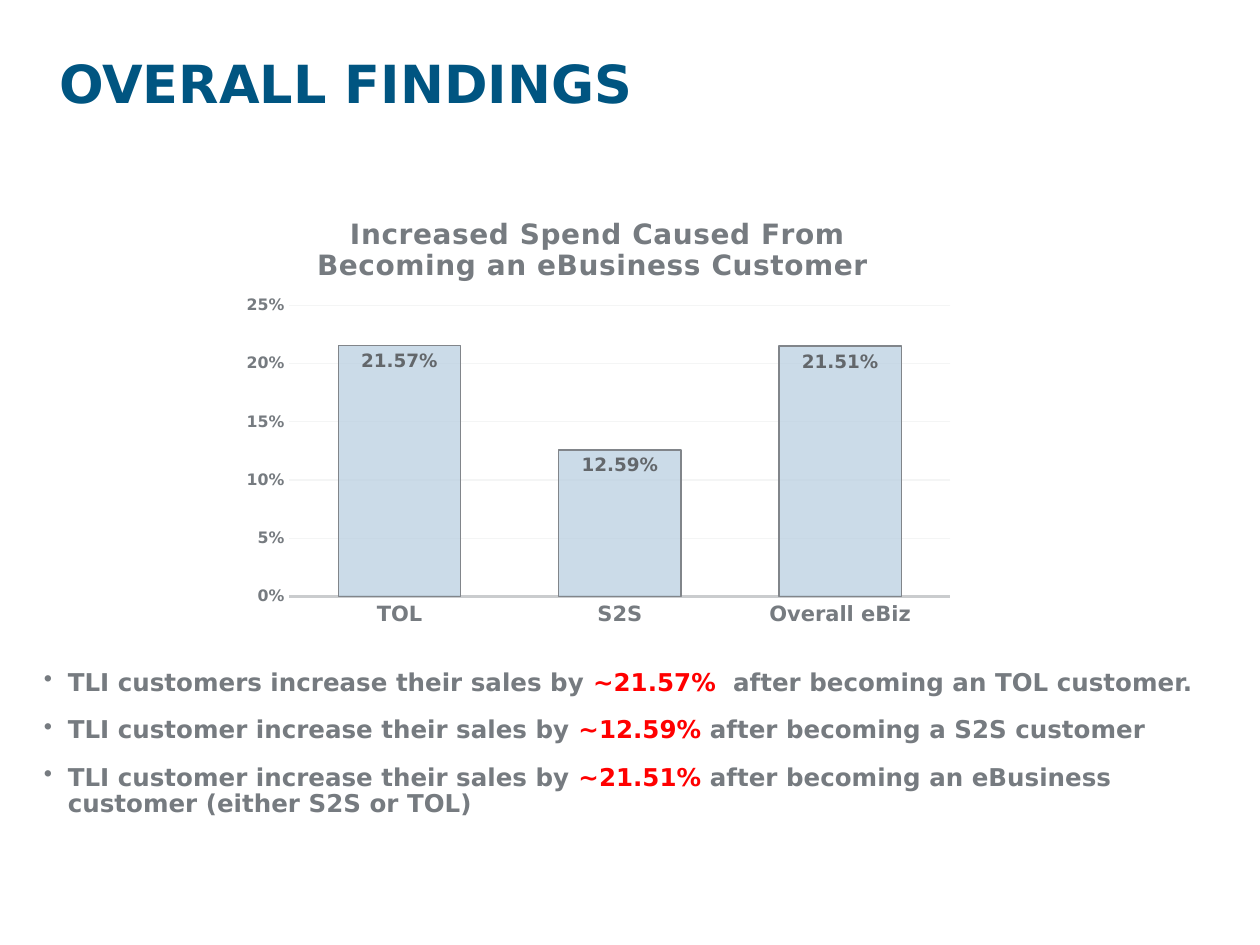
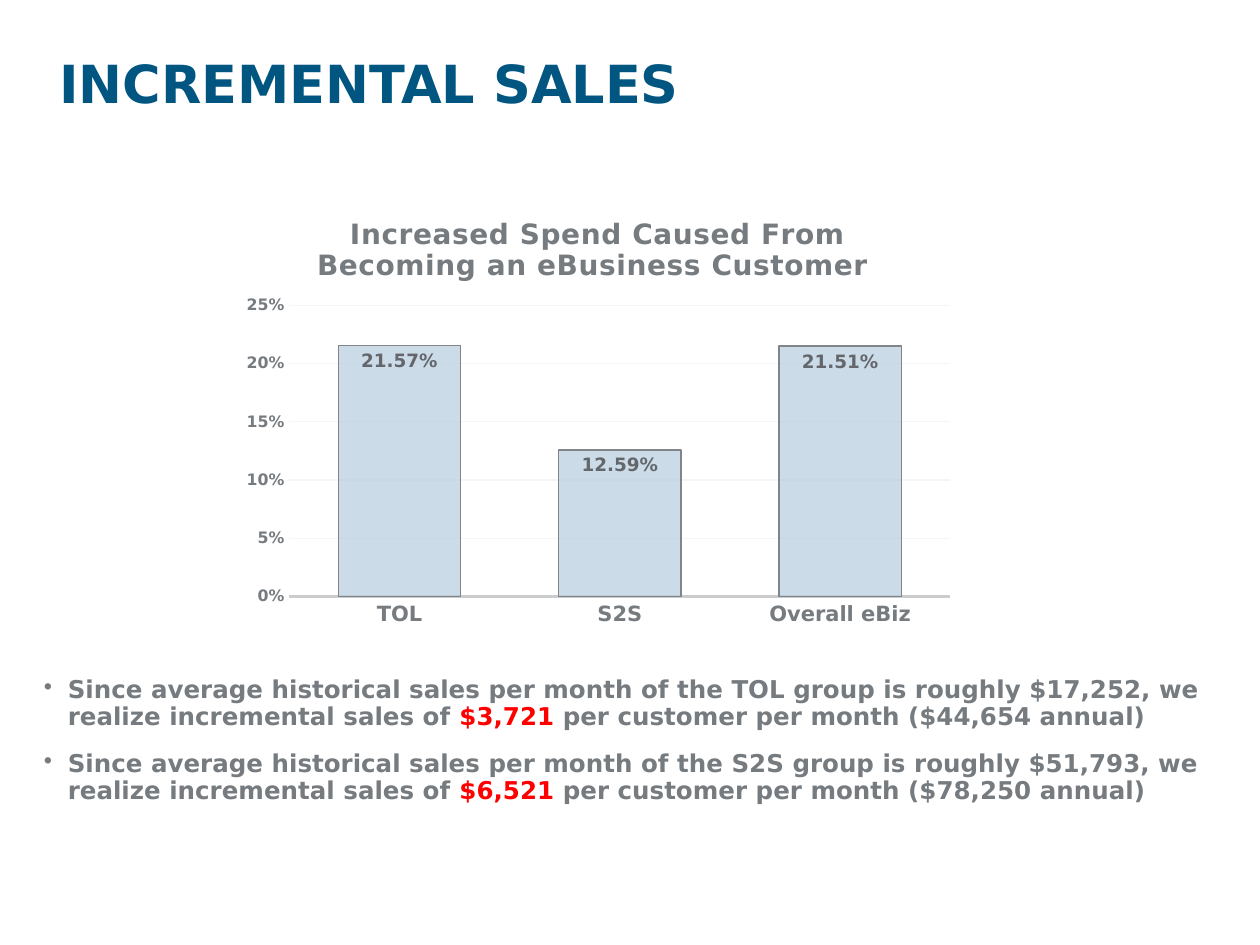
import pptx
import pptx.chart.data
import pptx.dml.color
import pptx.enum.chart
import pptx.enum.text
import pptx.oxml
import pptx.oxml.ns
import pptx.util

FONT = "DejaVu Sans"
BLUE, GREY, RED = "005581", "767B80", "FF0000"
COLS, ROWS = 100, 75
HEAD = (4.7, 4.6, 62, 6.2)
PLOT = (18.3, 15.5, 58.3, 35)
CATS = ("TOL", "S2S", "Overall eBiz")
VALS = (0.2157, 0.1259, 0.2151)
CAPTION = "Increased Spend Caused From Becoming an eBusiness Customer "
SLIDES = (
    ("OVERALL FINDINGS", 52.7, (
        ("TLI customers increase their sales by ", "~21.57%  ",
         "after becoming an TOL customer."),
        ("TLI customer increase their sales by ", "~12.59% ",
         "after becoming a S2S customer"),
        ("TLI customer increase their sales by ", "~21.51% ",
         "after becoming an eBusiness customer (either S2S or TOL)"))),
    ("INCREMENTAL SALES", 53.3, (
        ("Since average historical sales per month of the TOL group is "
         "roughly $17,252, we realize incremental sales of ", "$3,721",
         " per customer per month ($44,654 annual)"),
        ("Since average historical sales per month of the S2S group is "
         "roughly $51,793, we realize incremental sales of ", "$6,521 ",
         "per customer per month ($78,250 annual)"))),
)


def paint(hue):
    """Turn a hex string into a colour."""
    return pptx.dml.color.RGBColor.from_string(hue)


def style(font, size, hue, bold=True):
    """Set the face, size, colour and weight of a font."""
    font.name, font.size, font.bold = FONT, pptx.util.Pt(size), bold
    font.color.rgb = paint(hue)


def rule(line, hue, width):
    """Set the colour and width of a line."""
    line.color.rgb, line.width = paint(hue), pptx.util.Pt(width)


def place(deck, box):
    """Turn a box in columns and rows into slide lengths."""
    wide, high = deck.slide_width / COLS, deck.slide_height / ROWS
    return [round(n * unit) for n, unit in zip(box, (wide, high) * 2)]


def write(para, text, size, hue):
    """Add one styled run and return it."""
    run = para.add_run()
    run.text = text
    style(run.font, size, hue)
    return run


def node(xml):
    """Build an element, with namespaces put at the braces."""
    return pptx.oxml.parse_xml(xml.format(pptx.oxml.ns.nsdecls("a", "c")))


def title(slide, text, box):
    """Place and format the slide title."""
    shape = slide.shapes.title
    shape.left, shape.top, shape.width, shape.height = box
    frame = shape.text_frame
    frame.margin_left = frame.margin_right = 0
    frame.margin_top = frame.margin_bottom = 0
    frame.word_wrap = True
    frame.auto_size = pptx.enum.text.MSO_AUTO_SIZE.NONE
    frame.vertical_anchor = pptx.enum.text.MSO_ANCHOR.TOP
    para = frame.paragraphs[0]
    para.alignment = pptx.enum.text.PP_ALIGN.LEFT
    para.line_spacing = 0.9
    write(para, text, 30, BLUE)


def points(slide, items, box):
    """Add bullets whose middle run is stressed."""
    frame = slide.shapes.add_textbox(*box).text_frame
    frame.word_wrap = True
    dent = pptx.util.Inches(0.19)
    for i, item in enumerate(items):
        para = frame.add_paragraph() if i else frame.paragraphs[0]
        para.line_spacing, para.space_before = 0.9, pptx.util.Pt(12)
        props = para._p.get_or_add_pPr()
        props.set("marL", str(dent))
        props.set("indent", str(-dent))
        props.append(node('<a:buChar {} char="•"/>'))
        for text, hue in zip(item, (GREY, RED, GREY)):
            write(para, text, 14, hue)


def axes(chart):
    """Format both axes and the grid."""
    none = pptx.enum.chart.XL_TICK_MARK.NONE
    for axis, size in ((chart.category_axis, 12), (chart.value_axis, 9)):
        axis.major_tick_mark = axis.minor_tick_mark = none
        style(axis.tick_labels.font, size, GREY)
    rule(chart.category_axis.format.line, "CACCCE", 1.25)
    axis = chart.value_axis
    axis.minimum_scale, axis.maximum_scale, axis.major_unit = 0, 0.25, 0.05
    axis.format.line.fill.background()
    axis.tick_labels.number_format = "0%"
    axis.tick_labels.number_format_is_linked = False
    rule(axis.major_gridlines.format.line, "F4F5F5", 0.75)


def bars(chart):
    """Format the columns and their labels."""
    plot = chart.plots[0]
    plot.gap_width, plot.overlap, plot.vary_by_categories = 80, 25, False
    look = plot.series[0].format
    look.fill.solid()
    look.fill.fore_color.rgb = paint("B6CDDF")
    tint = look.fill._xPr.find(".//" + pptx.oxml.ns.qn("a:srgbClr"))
    tint.append(node('<a:alpha {} val="70000"/>'))
    rule(look.line, "81858A", 0.75)
    plot.has_data_labels = True
    tags = plot.data_labels
    tags.show_value = True
    tags.position = pptx.enum.chart.XL_LABEL_POSITION.INSIDE_END
    tags.number_format, tags.number_format_is_linked = "0.00%", False
    style(tags.font, 10.5, "63676B")


def layout(chart):
    """Fix the plot area as shares of the chart."""
    area = chart._chartSpace.chart.plotArea
    for old in area.findall(pptx.oxml.ns.qn("c:layout")):
        area.remove(old)
    spans = {"x": 0.08, "y": 0.25, "w": 0.9, "h": 0.66}
    parts = ['<c:layoutTarget val="inner"/>']
    parts += [f'<c:{side}Mode val="edge"/>' for side in "xy"]
    parts += [f'<c:{side} val="{span}"/>' for side, span in spans.items()]
    area.insert(0, node("<c:layout {}><c:manualLayout>" + "".join(parts)
                        + "</c:manualLayout></c:layout>"))


def graph(slide, box):
    """Add the column chart of increased spend."""
    data = pptx.chart.data.CategoryChartData(number_format="0.00%")
    data.categories = CATS
    data.add_series("Series 1", VALS)
    kind = pptx.enum.chart.XL_CHART_TYPE.COLUMN_CLUSTERED
    chart = slide.shapes.add_chart(kind, *box, data).chart
    style(chart.font, 10, "323436", False)
    chart.has_legend = False
    chart.has_title = True
    para = chart.chart_title.text_frame.paragraphs[0]
    run = write(para, CAPTION, 16, GREY)
    run.font._element.set("spc", "50")
    chart.chart_title.include_in_layout = False
    axes(chart)
    bars(chart)
    layout(chart)


def main():
    """Build and save the deck."""
    deck = pptx.Presentation()
    deck.slide_width = pptx.util.Inches(10)
    deck.slide_height = pptx.util.Inches(7.5)
    for name, top, items in SLIDES:
        slide = deck.slides.add_slide(deck.slide_layouts[5])
        title(slide, name, place(deck, HEAD))
        points(slide, items, place(deck, (2.5, top, 95, 13.3)))
        graph(slide, place(deck, PLOT))
    deck.save("out.pptx")


if __name__ == "__main__":
    main()
